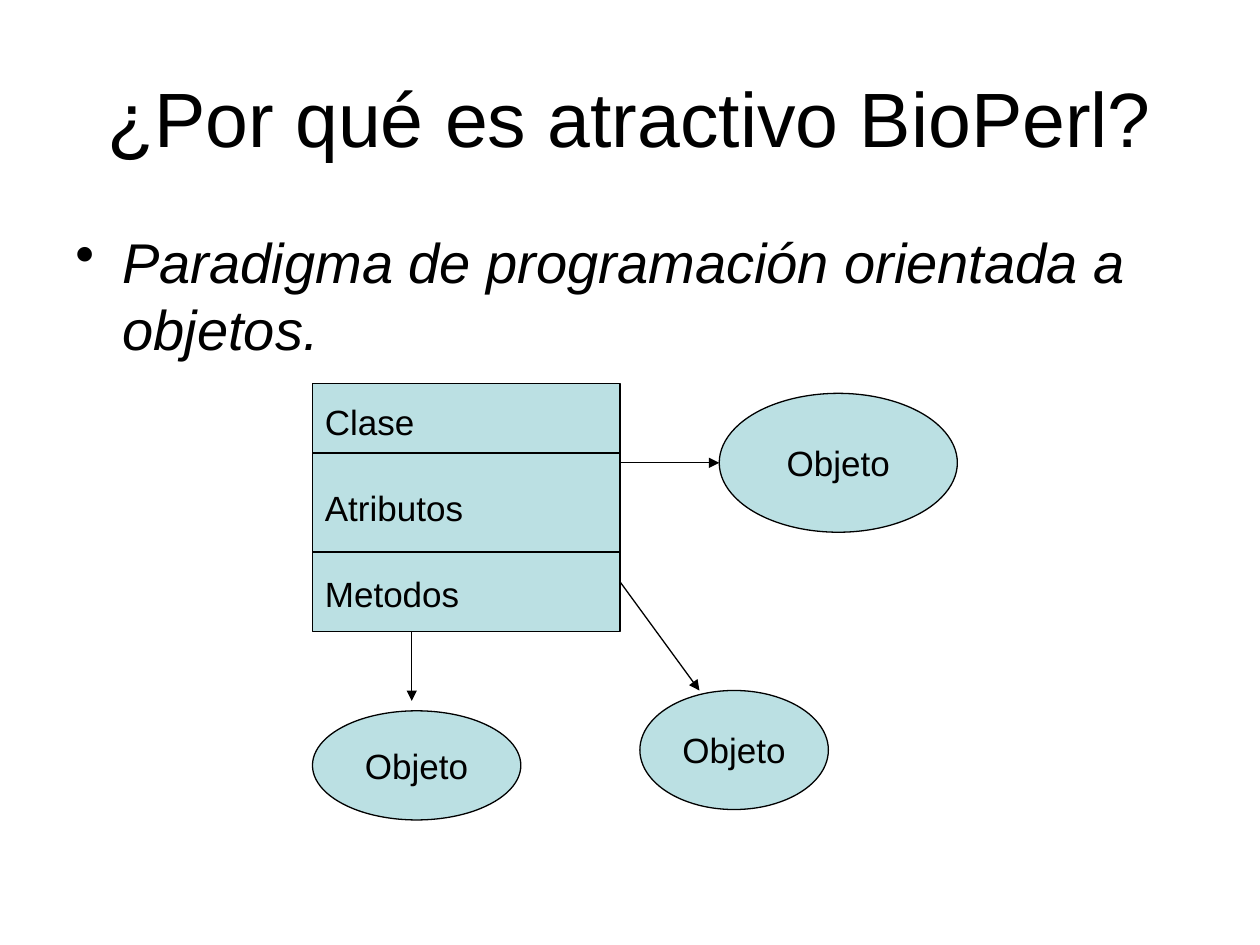
"""Builds the slide on why BioPerl is attractive, with a class and its objects."""
from lxml import etree
from pptx import Presentation
from pptx.dml.color import RGBColor
from pptx.enum.shapes import MSO_CONNECTOR, MSO_SHAPE
from pptx.enum.text import MSO_ANCHOR, PP_ALIGN
from pptx.oxml.ns import qn
from pptx.util import Cm, Pt

RECTANGLE, ELLIPSE = MSO_SHAPE.RECTANGLE, MSO_SHAPE.OVAL
STRAIGHT = MSO_CONNECTOR.STRAIGHT
TOP, MIDDLE = MSO_ANCHOR.TOP, MSO_ANCHOR.MIDDLE
LEFT, CENTER = PP_ALIGN.LEFT, PP_ALIGN.CENTER


def color(value):
    return RGBColor.from_string(value)


def write(frame, text, size, font, ink, align=LEFT, anchor=MIDDLE,
          wrap=True, italic=False, bullet=None, indent=0.95, gap=0):
    frame.word_wrap = wrap
    frame.vertical_anchor = anchor
    frame.margin_left = frame.margin_right = Cm(0.25)
    frame.margin_top = frame.margin_bottom = Cm(0.13)
    for index, line in enumerate(text.split("\n")):
        para = frame.add_paragraph() if index else frame.paragraphs[0]
        para.alignment = align
        if index:
            para.space_before = Pt(gap)
        if bullet:
            properties = para._p.get_or_add_pPr()
            properties.set("marL", str(Cm(indent)))
            properties.set("indent", str(-Cm(indent)))
            etree.SubElement(properties, qn("a:buChar"), char=bullet)
        span = para.add_run()
        span.text = line
        span.font.name = font
        span.font.size = Pt(size)
        span.font.italic = italic
        span.font.color.rgb = color(ink)


class Painter:
    def __init__(self, page, font="Arial", ink="000000", fill="BBE0E3", weight=0.75):
        self.page, self.font, self.ink = page, font, ink
        self.fill, self.weight = fill, weight

    def text(self, text, place, size, **style):
        box = self.page.shapes.add_textbox(*map(Cm, place))
        write(box.text_frame, text, size, self.font, self.ink, **style)

    def shape(self, kind, text, place, size=20, **style):
        shape = self.page.shapes.add_shape(kind, *map(Cm, place))
        shape.shadow.inherit = False
        shape.fill.solid()
        shape.fill.fore_color.rgb = color(self.fill)
        self.stroke(shape.line)
        write(shape.text_frame, text, size, self.font, self.ink, wrap=False, **style)

    def line(self, start, end, arrow=False):
        line = self.page.shapes.add_connector(STRAIGHT, *map(Cm, start + end))
        self.stroke(line.line)
        properties = line._element.spPr
        if arrow:
            etree.SubElement(properties.find(qn("a:ln")), qn("a:tailEnd"), type="triangle")
        etree.SubElement(properties, qn("a:effectLst"))

    def stroke(self, line):
        line.color.rgb = color(self.ink)
        line.width = Pt(self.weight)


def main():
    deck = Presentation()
    deck.slide_width, deck.slide_height = Cm(25.4), Cm(19.05)
    painter = Painter(deck.slides.add_slide(deck.slide_layouts[6]))

    painter.text("¿Por qué es atractivo BioPerl?", (1.27, 0.76, 22.86, 3.18), 44, align=CENTER)
    painter.text("Paradigma de programación orientada a objetos.",
                 (1.27, 4.45, 22.86, 12.57), 32, anchor=TOP, italic=True, bullet="•")

    left, top, width, height = 6.3, 7.73, 6.2, 5
    right, bottom = left + width, top + height
    painter.shape(RECTANGLE, "Clase\nAtributos\nMetodos", (left, top, width, height), gap=25)
    for place in ((left, 14.33, 4.2, 2.2), (12.9, 13.92, 3.8, 2.4), (14.5, 7.93, 4.8, 2.8)):
        painter.shape(ELLIPSE, "Objeto", place, align=CENTER)

    arrows = (((8.3, bottom), (8.3, 14.13)),
              ((right, 11.73), (14.1, 13.92)),
              ((right, 9.33), (14.5, 9.33)))
    for start, end in arrows:
        painter.line(start, end, arrow=True)
    for level in (9.13, 11.13):
        painter.line((left, level), (right, level))

    deck.save("out.pptx")


if __name__ == "__main__":
    main()
